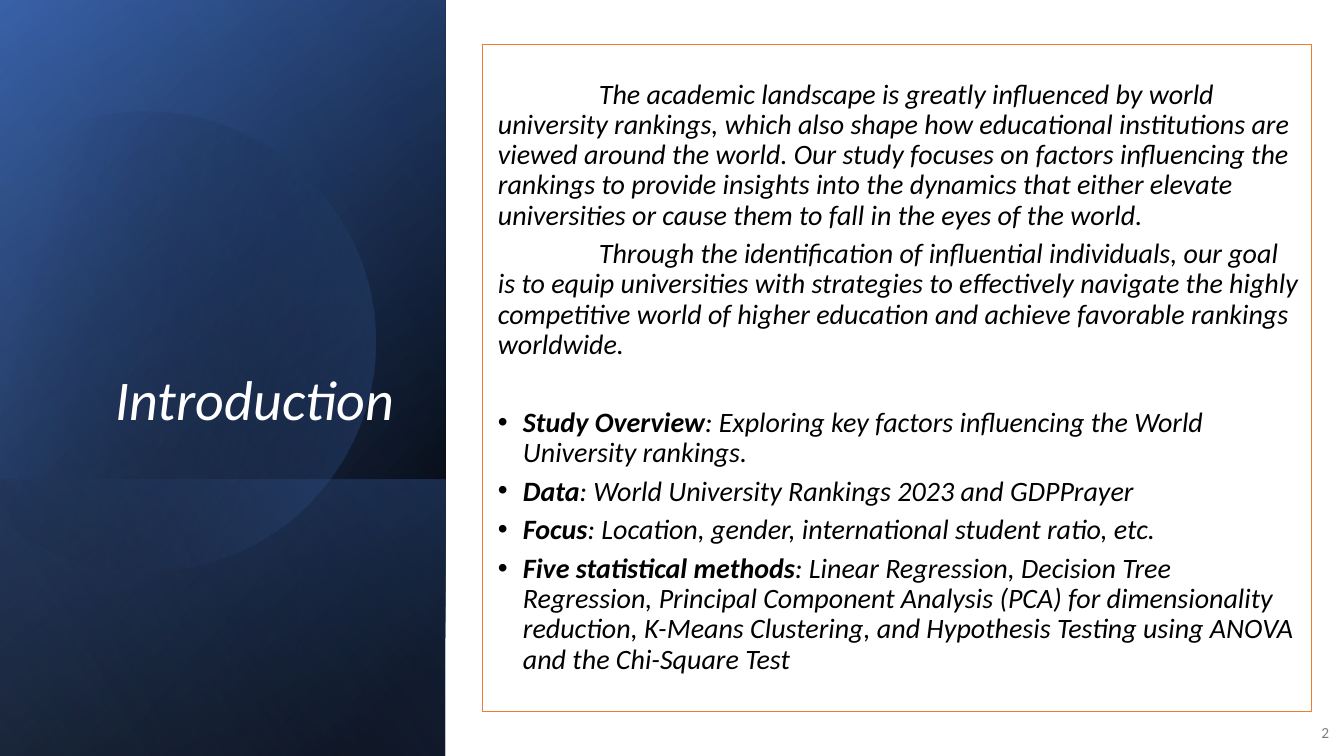
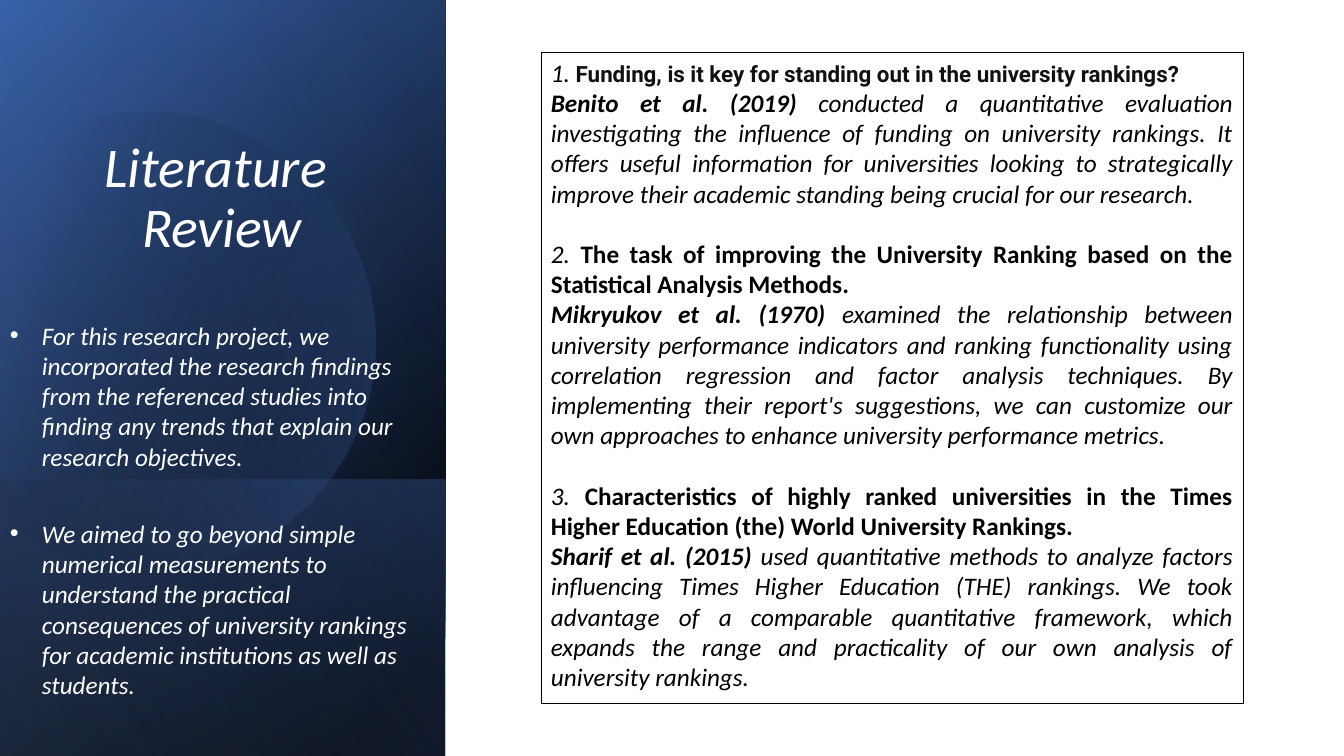
import math
from lxml import etree
from pptx import Presentation
from pptx import util as u
from pptx.dml.color import RGBColor
from pptx.enum import shapes, text
from pptx.oxml.ns import qn

PX = 914400 / 100.8  # EMU per px
C = dict(white="FFFFFF", black="000000", ink="111111", grey="808080",
         navy="2F5597", blue="4472C4", pale="8FAADC", orange="ED7D31")
A, V = text.PP_ALIGN, text.MSO_ANCHOR
RECT = shapes.MSO_SHAPE.RECTANGLE

# Run formats
PLAIN, ITALIC = dict(italic=False), dict(italic=True)
BOLD, BOTH = dict(bold=True, italic=False), dict(bold=True, italic=True)
ROBOTO = dict(BOLD, name="Roboto", size=u.Pt(16), color="ink")


def px(*lengths):
    return [u.Emu(round(n * PX)) for n in lengths]


def write(tf, paras, size, color, anchor=V.TOP, **shared):
    """Each paragraph is (runs, formats); a run without words is a line break."""
    tf.word_wrap = True
    tf.vertical_anchor = anchor
    for n, (runs, own) in enumerate(paras):
        p = tf.paragraphs[0] if n == 0 else tf.add_paragraph()
        look = {"alignment": A.LEFT, **shared, **own}
        left, first = px(*look.pop("indent", (0, 0)))
        bullet = look.pop("bullet", False)
        for key, value in look.items():
            setattr(p, key, value)
        pPr = p._p.get_or_add_pPr()
        pPr.set("marL", str(left))
        pPr.set("indent", str(first))
        if bullet:
            etree.SubElement(pPr, qn("a:buFont")).set("typeface", "Arial")
            etree.SubElement(pPr, qn("a:buChar")).set("char", "•")
        for words, fmt in runs:
            if not words:
                p.add_line_break()
                continue
            r = p.add_run()
            r.text = words
            font = {"name": "Calibri", "size": u.Pt(size), "color": color, **fmt}
            r.font.color.rgb = RGBColor.from_string(C[font.pop("color")])
            for key, value in font.items():
                setattr(r.font, key, value)


# Side panel layers: box (None for the disc), angle, stops of (position, colour, opacity)
PANEL = (-156, 155, 757, 446)
LAYERS = [
    (PANEL, 50, [(8, "black", 100), (100, "navy", 100)]),
    (PANEL, 30, [(0, "black", 0), (99, "blue", 46)]),
    ((84, 395, 277, 446), 130, [(2, "blue", 29), (100, "black", 30)]),
    (None, 30, [(29, "black", 0), (100, "blue", 43)]),
    (PANEL, 120, [(0, "black", 0), (99, "pale", 11)]),
]

# Disc with a flat left side: Bézier arcs between these angles, three points each
DISC_X, DISC_Y, DISC_R = 145, 337, 230
ANGLES = [math.radians(a) for a in (-118, -90, 0, 90, 150)]
polar = [(ANGLES[0], 0)]  # angle, signed length along the tangent
for a, b in zip(ANGLES, ANGLES[1:]):
    handle = 4 / 3 * math.tan((b - a) / 4)
    polar += [(a, handle), (b, -handle), (b, 0)]
DISC = [(DISC_X + DISC_R * (math.cos(a) - t * math.sin(a)),
         DISC_Y + DISC_R * (math.sin(a) + t * math.cos(a))) for a, t in polar]

# Introduction text
PARA = dict(indent=(6, 101))
ITEM = dict(indent=(31, -25), bullet=True)
FACTS = [
    ("Study Overview", ": Exploring key factors influencing the World University rankings."),
    ("Data", ": World University Rankings 2023 and GDPPrayer"),
    ("Focus", ": Location, gender, international student ratio, etc."),
    ("Five statistical methods", ": Linear Regression, Decision Tree Regression, Principal "
     "Component Analysis (PCA) for dimensionality reduction, K-Means Clustering, and "
     "Hypothesis Testing using ANOVA and the Chi-Square Test"),
]
intro = [
    ([("The academic landscape is greatly influenced by world university rankings, which "
       "also shape how educational institutions are viewed around the world. Our study "
       "focuses on factors influencing the rankings to provide insights into the dynamics "
       "that either elevate universities or cause them to fall in the eyes of the world.",
       ITALIC)], PARA),
    ([("Through the identification of influential individuals, our goal is to equip "
       "universities with strategies to effectively navigate the highly competitive world "
       "of higher education and achieve favorable rankings worldwide.", ITALIC)], PARA),
]
for n, (head, rest) in enumerate(FACTS):
    intro.append(([(head, BOTH), (rest, ITALIC)],
                  dict(ITEM, space_before=u.Pt(0 if n else 28))))

# Literature text: number, title, title format, authors, summary
STUDIES = [
    ("1. ", "Funding, is it key for standing out in the university rankings?", ROBOTO,
     "Benito et al. (2019) ",
     "conducted a quantitative evaluation investigating the influence of funding on "
     "university rankings. It offers useful information for universities looking to "
     "strategically improve their academic standing being crucial for our research."),
    ("2. ", "The task of improving the University Ranking based on the Statistical Analysis "
     "Methods.", BOLD, "Mikryukov et al. (1970) ",
     "examined the relationship between university performance indicators and ranking "
     "functionality using correlation regression and factor analysis techniques. By "
     "implementing their report's suggestions, we can customize our own approaches to "
     "enhance university performance metrics."),
    ("3. ", "Characteristics of highly ranked universities in the Times Higher Education "
     "(the) World University Rankings.", BOLD, "Sharif et al. (2015) ",
     "used quantitative methods to analyze factors influencing Times Higher Education (THE) "
     "rankings. We took advantage of a comparable quantitative framework, which expands the "
     "range and practicality of our own analysis of university rankings."),
]
review = []
for n, (number, title, fmt, authors, summary) in enumerate(STUDIES):
    review.append(([(number, ITALIC), (title, fmt)],
                   dict(space_before=u.Pt(21.5 if n else 0))))
    review.append(([(authors, BOTH), (summary, ITALIC)], {}))

AIMS = [
    "For this research project, we incorporated the research findings from the referenced "
    "studies into finding any trends that explain our research objectives.",
    "We aimed to go beyond simple numerical measurements to understand the practical "
    "consequences of university rankings for academic institutions as well as students.",
]
aims = [([(aim, ITALIC)], dict(indent=(32, -32), bullet=True,
                               space_before=u.Pt(27.5 if n else 0)))
        for n, aim in enumerate(AIMS)]

# Slides: title runs, title box and alignment, content box, outline, content, its format
SLIDES = [
    ([("Introduction", ITALIC)], (51, 65, 353, 373), A.RIGHT,
     (482, 44, 829, 667), "orange", intro,
     dict(size=20, anchor=V.MIDDLE, line_spacing=0.9, space_after=u.Pt(6))),
    ([("Literature ", ITALIC), ("", {}), ("Review", ITALIC)], (50, 1, 344, 264), A.CENTER,
     (541, 52, 702, 651), "black", review, dict(size=18, alignment=A.JUSTIFY)),
]
prs = Presentation()
prs.slide_width, prs.slide_height = px(1344, 756)

for title, title_box, align, content_box, outline, content, look in SLIDES:
    sp = prs.slides.add_slide(prs.slide_layouts[6]).shapes

    # Side panel
    for box, angle, stops in LAYERS:
        if box:
            s = sp.add_shape(RECT, *px(*box))
            s.rotation = 90
            s._element.spPr.find(qn("a:xfrm")).set("flipH", "1")
        else:
            builder = sp.build_freeform(*DISC[0], scale=PX)
            builder.add_line_segments(DISC[1:], close=True)
            s = builder.convert_to_shape()
            s.rotation = 343.9
            lines = list(s._element.spPr.iter(qn("a:lnTo")))
            for n in range(0, len(lines), 3):
                curve = etree.Element(qn("a:cubicBezTo"))
                lines[n].addprevious(curve)
                for line in lines[n:n + 3]:
                    curve.append(line[0])
                    line.getparent().remove(line)
        s.shadow.inherit = False
        s.line.fill.background()
        s.fill.gradient()
        s.fill.gradient_angle = 360 - angle
        for stop, (position, color, opacity) in zip(s.fill.gradient_stops, stops):
            stop.position = position / 100
            stop.color.rgb = RGBColor.from_string(C[color])
        for clr, (position, color, opacity) in zip(s._element.spPr.iter(qn("a:srgbClr")), stops):
            etree.SubElement(clr, qn("a:alpha")).set("val", str(opacity * 1000))

    # Title
    s = sp.add_textbox(*px(*title_box))
    write(s.text_frame, [(title, {})], 40, "white", V.BOTTOM,
          alignment=align, line_spacing=0.9)
    # The break takes the size of the title
    for br in s._element.iter(qn("a:br")):
        etree.SubElement(br, qn("a:rPr")).set("sz", "4000")

    # Framed content
    s = sp.add_shape(RECT, *px(*content_box))
    s.shadow.inherit = False
    s.fill.solid()
    s.fill.fore_color.rgb = RGBColor.from_string(C["white"])
    s.line.color.rgb = RGBColor.from_string(C[outline])
    s.line.width = u.Pt(0.5)
    write(s.text_frame, content, color="black", **look)

# Slide number and research aims
first, second = prs.slides
s = first.shapes.add_textbox(*px(1290, 712, 49, 40))
write(s.text_frame, [([("2", PLAIN)], {})], 11, "grey", V.MIDDLE,
      alignment=A.RIGHT, space_after=u.Pt(6))
s = second.shapes.add_textbox(*px(0, 315, 446, 393))
write(s.text_frame, aims, 18, "white", space_after=u.Pt(6))

prs.save("out.pptx")
